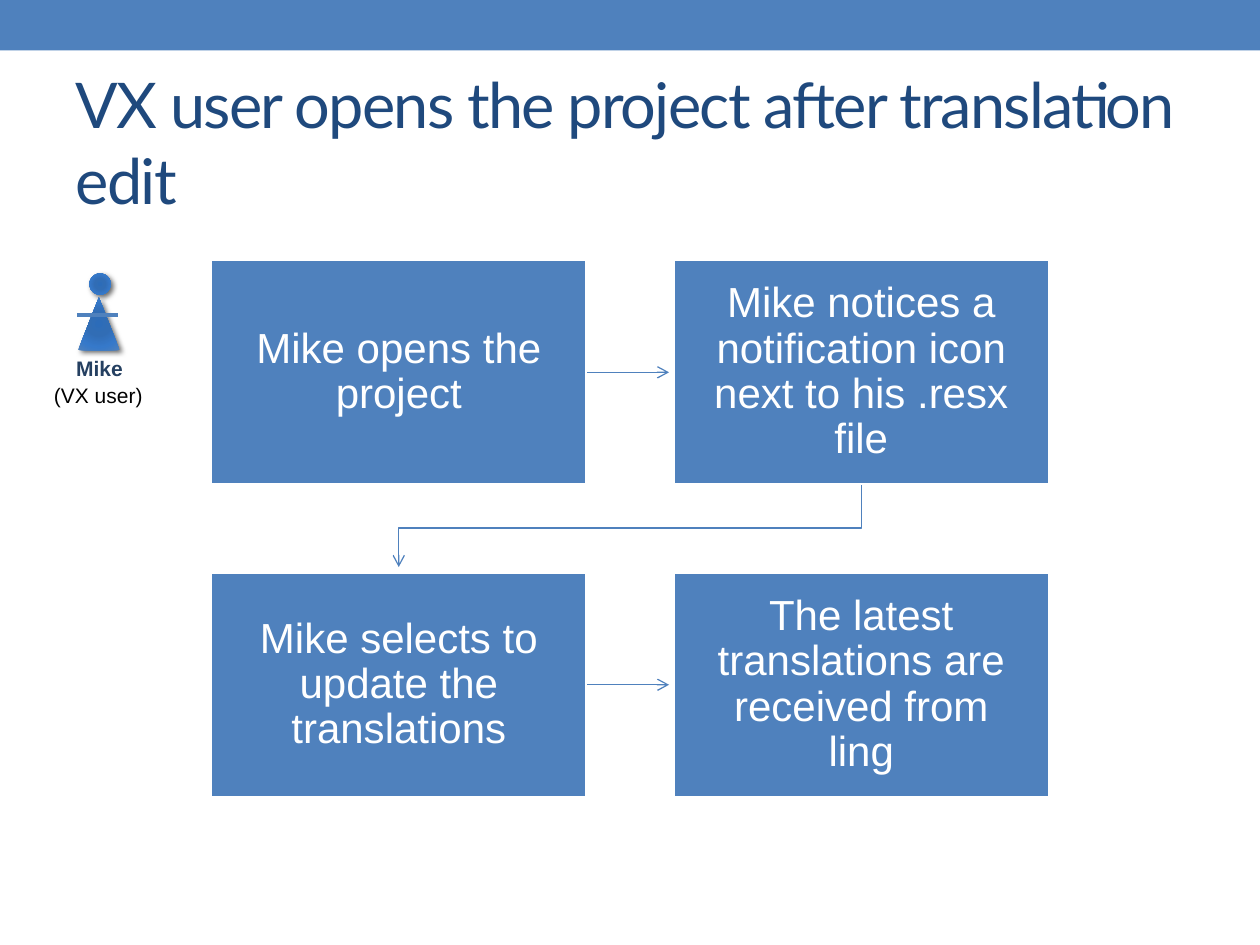
"""Build the slide on a user opening a project after a translation edit."""
from lxml.etree import SubElement
from pptx import Presentation
from pptx.dml.color import RGBColor
from pptx.enum.shapes import MSO_CONNECTOR, MSO_SHAPE
from pptx.enum.text import MSO_ANCHOR, MSO_AUTO_SIZE, PP_ALIGN
from pptx.oxml import parse_xml
from pptx.oxml.ns import nsdecls, qn
from pptx.util import Inches, Pt

theme = {
    "blue": RGBColor.from_string("4F81BD"),
    "navy": RGBColor.from_string("1F497D"),
    "dark": RGBColor.from_string("254061"),
    "white": RGBColor.from_string("FFFFFF"),
    "black": RGBColor.from_string("000000"),
    "head": Pt(36),
    "step": Pt(24),
    "label": Pt(12),
}
shades = [(0, "2C6CB9"), (34, "316DB5"), (70, "3679CA"), (100, "4F81BD")]


def write(shape, text, frame, font, align):
    for key, val in frame.items():
        setattr(shape.text_frame, key, val)
    para = shape.text_frame.paragraphs[0]
    para.alignment = align
    run = para.add_run()
    run.text = text
    color = font.pop("color")
    for key, val in font.items():
        setattr(run.font, key, val)
    run.font.color.rgb = color
    return run


def stroke(shape, width, arrow):
    shape.line.color.rgb = theme["blue"]
    shape.line.width = Pt(width)
    props = shape._element.spPr
    if arrow:
        SubElement(props.find(qn("a:ln")), qn("a:tailEnd"), type="arrow")
    if props.find(qn("a:effectLst")) is None:
        SubElement(props, qn("a:effectLst"))


deck = Presentation()
deck.slide_width, deck.slide_height = Inches(10), Inches(7.5)
slide = deck.slides.add_slide(deck.slide_layouts[5])
shapes = slide.shapes

band = shapes.add_shape(MSO_SHAPE.RECTANGLE, 0, 0, Inches(10), Inches(0.4))
band.shadow.inherit = False
band.fill.solid()
band.fill.fore_color.rgb = theme["blue"]
band.line.fill.background()

title = shapes.title
place = {"left": 0.5, "top": 0.58, "width": 9, "height": 1.08}
for key, val in place.items():
    setattr(title, key, Inches(val))
run = write(
    title,
    "VX user opens the project after translation edit",
    {"vertical_anchor": MSO_ANCHOR.MIDDLE, "auto_size": MSO_AUTO_SIZE.NONE},
    {"name": "Lato", "size": theme["head"], "color": theme["navy"]},
    PP_ALIGN.LEFT,
)
run.font._element.set("spc", "-100")

wide, high = 2.99, 1.79
cols, rows = (1.67, 5.34), (2.06, 4.54)
steps = [
    ["Mike opens the project", "Mike notices a notification icon next to his .resx file"],
    ["Mike selects to update the translations", "The latest translations are received from ling"],
]
inset = {f"margin_{side}": Inches(0.19) for side in ("left", "top", "right", "bottom")}
for top, texts in zip(rows, steps):
    for left, text in zip(cols, texts):
        box = shapes.add_shape(
            MSO_SHAPE.RECTANGLE, Inches(left), Inches(top), Inches(wide), Inches(high)
        )
        box.shadow.inherit = False
        box.fill.solid()
        box.fill.fore_color.rgb = theme["blue"]
        box.line.color.rgb = theme["white"]
        box.line.width = Pt(2.08)
        write(
            box,
            text,
            {"word_wrap": True, "vertical_anchor": MSO_ANCHOR.MIDDLE, **inset},
            {"name": "Arial", "size": theme["step"], "color": theme["white"]},
            PP_ALIGN.CENTER,
        )
        box.text_frame.paragraphs[0].line_spacing = 0.9
    mid = Inches(top + high / 2)
    arrow = shapes.add_connector(
        MSO_CONNECTOR.STRAIGHT, Inches(cols[0] + wide), mid, Inches(cols[1] - 0.03), mid
    )
    stroke(arrow, 0.75, True)

start, end = [left + wide / 2 for left in reversed(cols)]
base, tip = rows[0] + high, rows[1] - 0.04
turn = 4.19
path = shapes.build_freeform(Inches(start), Inches(base))
path.add_line_segments(
    [(Inches(x), Inches(y)) for x, y in ((start, turn), (end, turn), (end, tip))],
    close=False,
)
bend = path.convert_to_shape()
bend.shadow.inherit = False
bend.fill.background()
stroke(bend, 0.75, True)

stops = "".join(
    f'<a:gs pos="{pos * 1000}"><a:srgbClr val="{tone}"/></a:gs>' for pos, tone in shades
)
for kind, spot in (
    (MSO_SHAPE.OVAL, (0.71, 2.17, 0.17, 0.17)),
    (MSO_SHAPE.ISOSCELES_TRIANGLE, (0.62, 2.36, 0.33, 0.42)),
):
    part = shapes.add_shape(kind, *map(Inches, spot))
    part.shadow.inherit = False
    part.fill.background()
    part.line.fill.background()
    props = part._element.spPr
    props.replace(props.find(qn("a:noFill")), parse_xml(
        f'<a:gradFill {nsdecls("a")} rotWithShape="1"><a:gsLst>{stops}</a:gsLst>'
        '<a:path path="circle"><a:fillToRect l="100000" t="100000" r="100000" b="100000"/>'
        "</a:path></a:gradFill>"
    ))
    props.find(qn("a:effectLst")).append(parse_xml(
        f'<a:outerShdw {nsdecls("a")} blurRad="38100" dist="25400" dir="2700000">'
        '<a:srgbClr val="000000"><a:alpha val="60000"/></a:srgbClr></a:outerShdw>'
    ))
arms = shapes.add_connector(
    MSO_CONNECTOR.STRAIGHT, Inches(0.61), Inches(2.5), Inches(0.94), Inches(2.5)
)
stroke(arms, 2.25, False)

for text, spot, tone, bold, align in (
    ("Mike", (0.5, 2.77, 0.58, 0.3), "dark", True, PP_ALIGN.CENTER),
    ("(VX user)", (0.33, 2.99, 0.91, 0.3), "black", False, PP_ALIGN.LEFT),
):
    write(
        shapes.add_textbox(*map(Inches, spot)),
        text,
        {"word_wrap": False, "auto_size": MSO_AUTO_SIZE.SHAPE_TO_FIT_TEXT},
        {"name": "Arial", "size": theme["label"], "bold": bold, "color": theme[tone]},
        align,
    )

deck.save("out.pptx")
